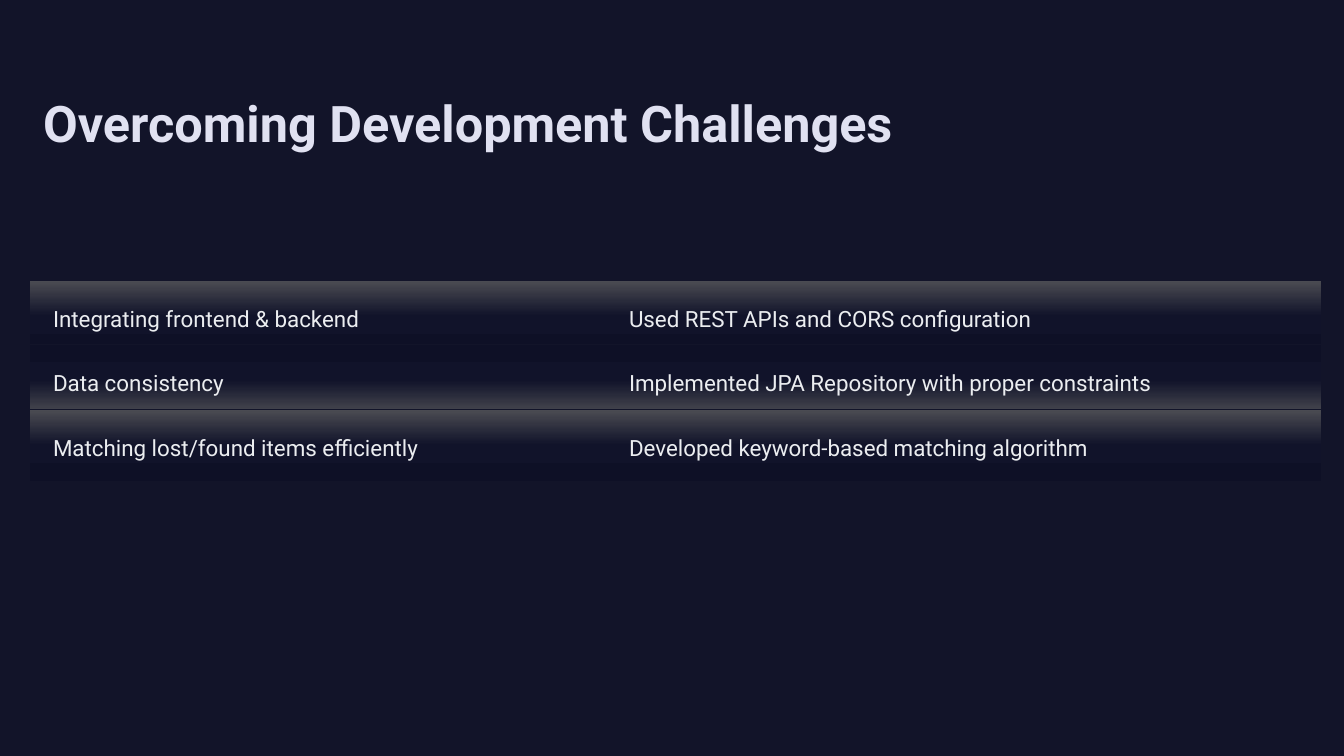
from copy import deepcopy
from dataclasses import dataclass

from pptx import Presentation
from pptx import util as u
from pptx.dml.color import RGBColor
from pptx.enum import shapes
from pptx.oxml.ns import qn

SLIDE_W, SLIDE_H = 1344, 756
EMU_PER_PX = u.Inches(13.3333) / SLIDE_W
BACKGROUND = "121429"
BAR_STOPS = ((0, "4C4D53"), (0.5, "11132A"), (1, "0E1026"))


@dataclass
class Challenge:
    problem: str
    solution: str
    rotation: int = 0


@dataclass
class TextStyle:
    size: int
    line: int
    color: str
    bold: bool = False


TITLE = TextStyle(36, 58, "E0E1F1", True)
BODY = TextStyle(16, 23, "EBEDF0")
CHALLENGES = (
    Challenge("Integrating frontend & backend", "Used REST APIs and CORS configuration"),
    Challenge("Data consistency", "Implemented JPA Repository with proper constraints", 180),
    Challenge("Matching lost/found items efficiently", "Developed keyword-based matching algorithm"),
)


def px(n: int) -> int:
    return round(n * EMU_PER_PX)


def rgb(color: str) -> RGBColor:
    return RGBColor.from_string(color)


def add_text(s, label: str, x: int, y: int, w: int, h: int, style: TextStyle) -> None:
    tf = s.shapes.add_textbox(px(x), px(y), px(w), px(h)).text_frame
    tf.margin_left = tf.margin_top = tf.margin_right = tf.margin_bottom = 0
    tf.word_wrap = True
    tf.text = label
    p = tf.paragraphs[0]
    p.line_spacing = u.Pt(style.line)
    r = p.runs[0]
    r.font.name = "Roboto"
    r.font.size = u.Pt(style.size)
    r.font.bold = style.bold
    r.font.color.rgb = rgb(style.color)


def add_bar(s, y: int, rotation: int) -> None:
    sp = s.shapes.add_shape(shapes.MSO_SHAPE.RECTANGLE, px(29), px(y), px(1292), px(72))
    sp.shadow.inherit = False
    sp.rotation = rotation
    sp.line.color.rgb = rgb(BACKGROUND)
    sp.line.width = u.Pt(0.5)
    sp.fill.gradient()
    sp.fill.gradient_angle = 270
    stop_list = sp._element.spPr.find(qn("a:gradFill")).find(qn("a:gsLst"))
    stop_list.append(deepcopy(stop_list[-1]))
    for stop, (position, color) in zip(sp.fill.gradient_stops, BAR_STOPS):
        stop.position = position
        stop.color.rgb = rgb(color)


def main() -> None:
    prs = Presentation()
    prs.slide_width, prs.slide_height = px(SLIDE_W), px(SLIDE_H)
    s = prs.slides.add_slide(prs.slide_layouts[6])
    s.background.fill.solid()
    s.background.fill.fore_color.rgb = rgb(BACKGROUND)
    add_text(s, "Overcoming Development Challenges", 43, 71, 1151, 162, TITLE)
    for i, challenge in enumerate(CHALLENGES):
        top = 280 + 129 * i // 2
        add_bar(s, top, challenge.rotation)
        add_text(s, challenge.problem, 53, top + 20, 528, 36, BODY)
        add_text(s, challenge.solution, 629, top + 20, 690, 36, BODY)
    prs.save("out.pptx")


if __name__ == "__main__":
    main()
